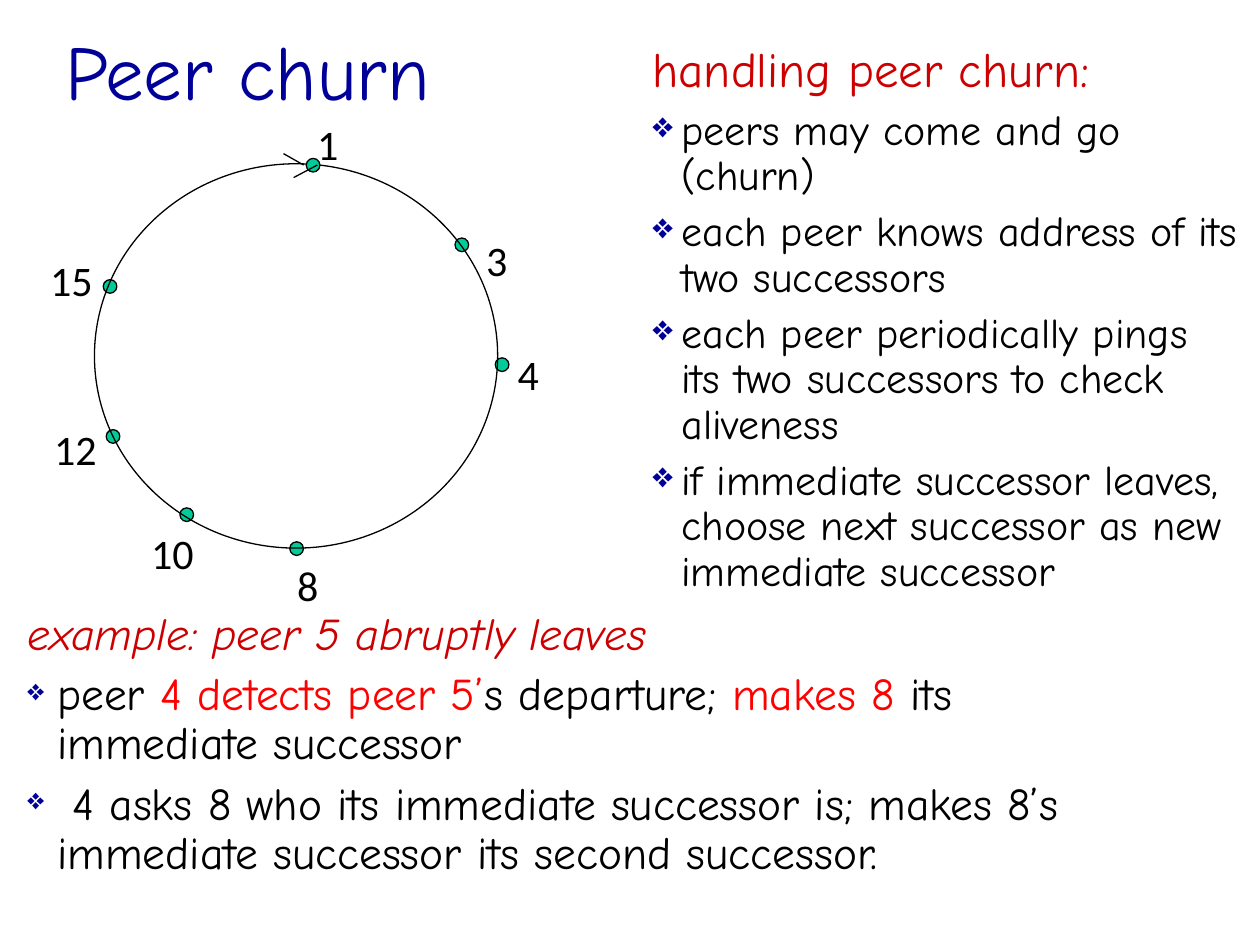
from lxml import etree
from pptx import Presentation
from pptx.dml.color import RGBColor
from pptx.enum.shapes import MSO_CONNECTOR, MSO_SHAPE
from pptx.enum.text import MSO_ANCHOR, MSO_AUTO_SIZE, PP_ALIGN
from pptx.oxml.ns import qn
from pptx.util import Pt

OVAL = MSO_SHAPE.OVAL
STRAIGHT = MSO_CONNECTOR.STRAIGHT
LEFT = PP_ALIGN.LEFT
MIDDLE = MSO_ANCHOR.MIDDLE
NO_RESIZE = MSO_AUTO_SIZE.NONE

COLORS = {
    "navy": "000099",
    "heading": "CC0000",
    "highlight": "FF0000",
    "text": "000000",
    "peer": "00CC99",
}
HAND_FONT = "Comic Neue"
LABEL_FONT = "Calibri"


def style(font, name, size, color):
    font.name = name
    font.size = Pt(size)
    font.color.rgb = RGBColor.from_string(COLORS[color])


def add_bullet(paragraph, size_percent, indent):
    properties = paragraph._p.get_or_add_pPr()
    properties.set("marL", str(Pt(indent)))
    properties.set("indent", str(-Pt(indent)))
    color = etree.SubElement(properties, qn("a:buClr"))
    etree.SubElement(color, qn("a:srgbClr"), val=COLORS["navy"])
    etree.SubElement(properties, qn("a:buSzPct"), val=str(size_percent * 1000))
    etree.SubElement(properties, qn("a:buChar"), char="❖")


prs = Presentation()
prs.slide_width, prs.slide_height = Pt(720), Pt(540)
slide = prs.slides.add_slide(prs.slide_layouts[5])
shapes = slide.shapes

# Title
title = shapes.title
title.left, title.top, title.width, title.height = Pt(30.2), Pt(0), Pt(648), Pt(80)
title.text_frame.text = "Peer churn"
title.text_frame.auto_size = NO_RESIZE
title.text_frame.vertical_anchor = MIDDLE
title.text_frame.paragraphs[0].alignment = LEFT
style(title.text_frame.paragraphs[0].runs[0].font, HAND_FONT, 44, "navy")

# Example below the ring
example = shapes.add_textbox(Pt(8.6), Pt(345.6), Pt(648), Pt(168)).text_frame
example.word_wrap = True
example_lines = [
    [("example: peer 5 abruptly leaves", "heading")],
    [("peer ", "text"), ("4 detects peer 5’", "highlight"), ("s departure; ", "text"),
     ("makes 8 ", "highlight"), ("its immediate successor", "text")],
    [(" 4 asks 8 who its immediate successor is; makes 8’s immediate successor "
      "its second successor.", "text")],
]
for i, pieces in enumerate(example_lines):
    paragraph = example.add_paragraph() if i else example.paragraphs[0]
    paragraph.line_spacing = 0.9
    if i:
        paragraph.space_before = Pt(6.5)
        add_bullet(paragraph, 65, 17)
    for words, color in pieces:
        run = paragraph.add_run()
        run.text = words
        style(run.font, HAND_FONT, 26, color)
        run.font.italic = i == 0

# Ring of peers: the ring lies over every dot but that of peer 1
DOT = 7.8
circles = [
    (165.6, 309.6, DOT, DOT, "peer"),
    (59, 159.8, DOT, DOT, "peer"),
    (60.7, 245.5, DOT, DOT, "peer"),
    (260, 136, DOT, DOT, "peer"),
    (283, 204.5, DOT, DOT, "peer"),
    (102.8, 290.2, DOT, DOT, "peer"),
    (54, 93.6, 230.4, 219.6, None),
    (175, 90.5, DOT, DOT, "peer"),
]
for left, top, width, height, fill in circles:
    circle = shapes.add_shape(OVAL, Pt(left), Pt(top), Pt(width), Pt(height))
    circle.shadow.inherit = False
    if fill:
        circle.fill.solid()
        circle.fill.fore_color.rgb = RGBColor.from_string(COLORS[fill])
    else:
        circle.fill.background()
    circle.line.color.rgb = RGBColor.from_string(COLORS["text"])
    circle.line.width = Pt(0.75)

# Peer numbers
peer_labels = {
    "1": (174.2, 64.1), "3": (270.7, 130.3), "4": (288.7, 195.8), "8": (162.7, 316.1),
    "10": (79.2, 298.1), "12": (23.8, 238.3), "15": (21.6, 141.8),
}
for peer, (left, top) in peer_labels.items():
    width = 14.4 + 12.2 * len(peer)
    label = shapes.add_textbox(Pt(left), Pt(top), Pt(width), Pt(36)).text_frame
    label.word_wrap = False
    label.text = peer
    style(label.paragraphs[0].runs[0].font, LABEL_FONT, 24, "text")

# Direction mark on the ring
for x1, y1, x2, y2 in [(162, 87.8, 173.5, 94.3), (181.4, 94.3, 167.8, 101.5)]:
    stroke = shapes.add_connector(STRAIGHT, Pt(x1), Pt(y1), Pt(x2), Pt(y2))
    stroke.line.color.rgb = RGBColor.from_string(COLORS["text"])
    stroke.line.width = Pt(0.75)
    etree.SubElement(stroke._element.spPr, qn("a:effectLst"))

# Rules for handling churn
handling = shapes.add_textbox(Pt(365.8), Pt(18.7), Pt(348.5), Pt(360)).text_frame
handling.word_wrap = True
handling.text = "handling peer churn:"
style(handling.paragraphs[0].runs[0].font, HAND_FONT, 28, "heading")
for rule in [
    "peers may come and go (churn)",
    "each peer knows address of its two successors",
    "each peer periodically pings its two successors to check aliveness",
    "if immediate successor leaves, choose next successor as new immediate successor",
]:
    paragraph = handling.add_paragraph()
    paragraph.text = rule
    paragraph.line_spacing = Pt(26)
    paragraph.space_before = Pt(6)
    add_bullet(paragraph, 85, 16.5)
    style(paragraph.runs[0].font, HAND_FONT, 24, "text")

prs.save("out.pptx")
